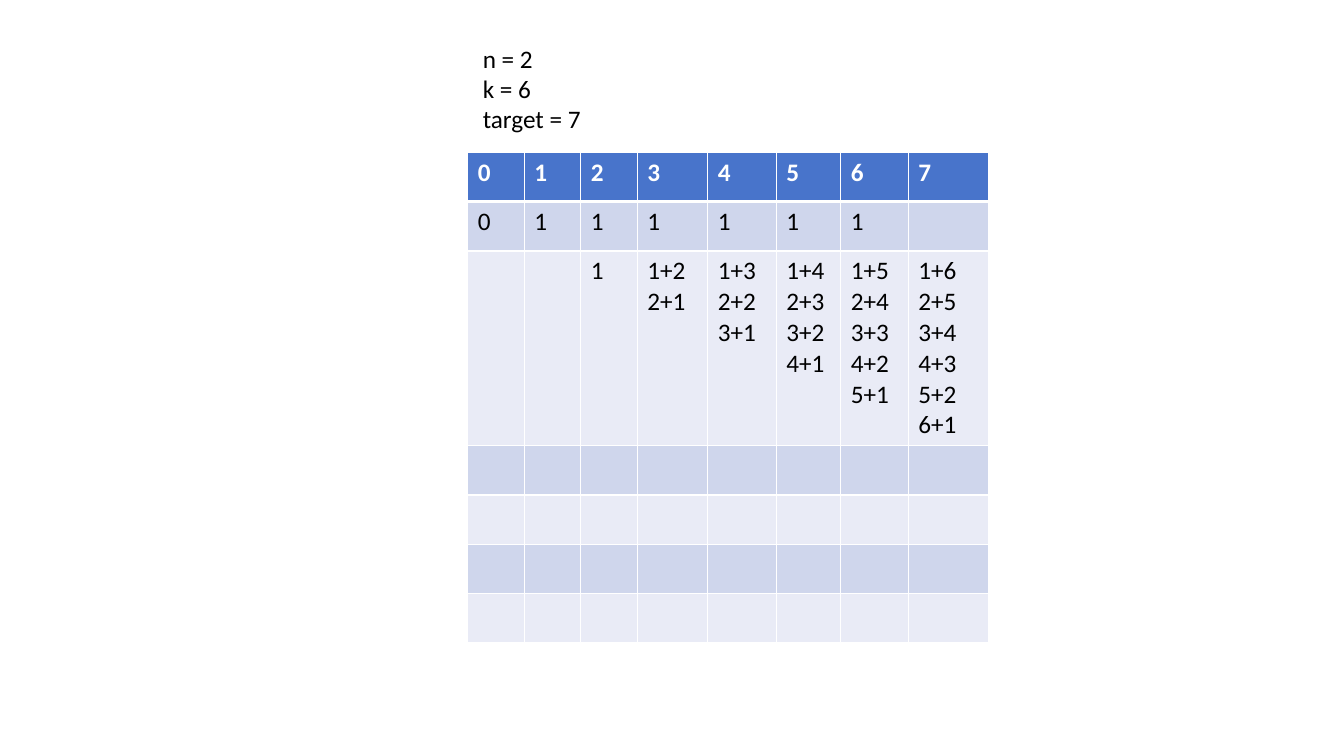
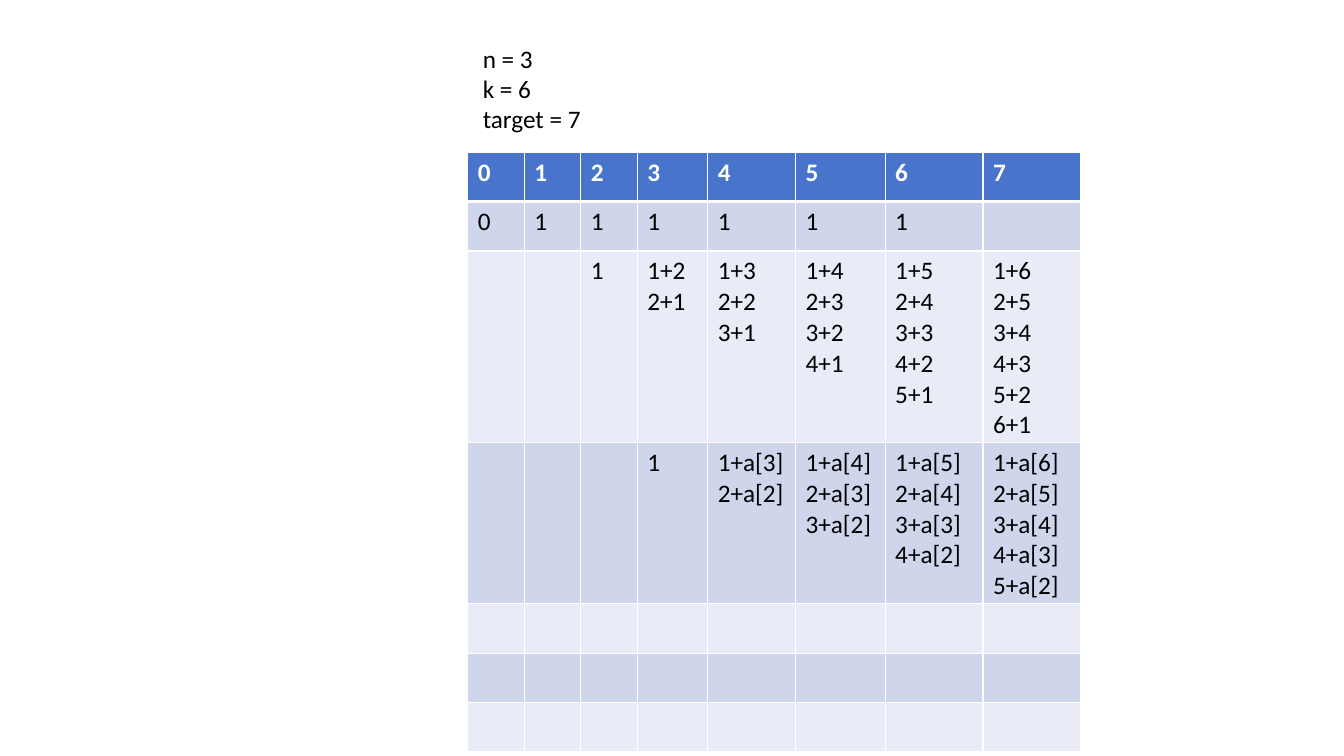
import pptx
import pptx.util
import pptx.dml.color
import pptx.oxml
import pptx.oxml.ns

EMU_PER_PX = 9144
FACES = 6
TARGET = 7
ROW_COUNT = 7
ROW_HEIGHT = 49
FONT_NAME = "Calibri"
FONT_SIZE = 18
SLIDE_SIZE = (1333, 750)
CONTENT_BOX = (464, 38)
COLORS = {
    "header": "4874CB",
    "odd_row": "CFD6EC",
    "even_row": "E9EBF6",
    "white": "FFFFFF",
    "text": "000000",
}
SLIDES = [
    {"dice": 2, "columns": [56, 56, 56, 70, 68, 64, 67, 80]},
    {"dice": 3, "columns": [56, 56, 56, 70, 87, 89, 97, 97]},
]


def px(length):
    return pptx.util.Emu(length * EMU_PER_PX)


def rgb(name):
    return pptx.dml.color.RGBColor.from_string(COLORS[name])


def write_lines(text_frame, lines, color, bold=False):
    text_frame.text = "\n".join(lines)
    for paragraph in text_frame.paragraphs:
        for run in paragraph.runs:
            run.font.name = FONT_NAME
            run.font.size = pptx.util.Pt(FONT_SIZE)
            run.font.bold = bold
            run.font.color.rgb = rgb(color)


def cell_lines(row, column, dice):
    if row == 0:
        return [str(column)]
    if row > dice:
        return []
    if row == 1:
        return [str(min(column, 1))] if column <= FACES else []
    if column < row:
        return []
    if column == row:
        return ["1"]
    remainder = "{}" if row == 2 else "a[{}]"
    return [f"{face}+" + remainder.format(column - face)
            for face in range(1, column - row + 2)]


def add_borders(cell, widths):
    properties = cell._tc.get_or_add_tcPr()
    namespace = pptx.oxml.ns.nsdecls("a")
    for side, width in widths.items():
        properties.append(pptx.oxml.parse_xml(
            f'<a:ln{side} {namespace} w="{pptx.util.Pt(width)}"><a:solidFill>'
            f'<a:srgbClr val="{COLORS["white"]}"/></a:solidFill></a:ln{side}>'))


def add_parameters(slide, left, top, dice):
    shape = slide.shapes.add_textbox(px(left), px(top), px(444), px(101))
    shape.text_frame.word_wrap = True
    write_lines(shape.text_frame,
                [f"n = {dice}", f"k = {FACES}", f"target = {TARGET}"], "text")


def add_ways_table(slide, left, top, dice, column_widths):
    shape = slide.shapes.add_table(
        ROW_COUNT, len(column_widths), px(left), px(top),
        px(sum(column_widths)), px(ROW_COUNT * ROW_HEIGHT))
    table = shape.table
    for column, width in zip(table.columns, column_widths):
        column.width = px(width)
    for row_index, row in enumerate(table.rows):
        row.height = px(ROW_HEIGHT)
        is_header = row_index == 0
        fill_name = "header" if is_header else ("even_row", "odd_row")[row_index % 2]
        widths = {"L": 1, "R": 1, "T": 3 if row_index == 1 else 1,
                  "B": 3 if is_header else 1}
        for column_index, cell in enumerate(row.cells):
            add_borders(cell, widths)
            cell.fill.solid()
            cell.fill.fore_color.rgb = rgb(fill_name)
            write_lines(cell.text_frame, cell_lines(row_index, column_index, dice),
                        "white" if is_header else "text", is_header)


def add_dice_slide(presentation, box, dice, columns):
    left, top = box
    slide = presentation.slides.add_slide(presentation.slide_layouts[6])
    add_ways_table(slide, left, top + 113, dice, columns)
    add_parameters(slide, left + 5, top, dice)


def main():
    presentation = pptx.Presentation()
    presentation.slide_width, presentation.slide_height = map(px, SLIDE_SIZE)
    for content in SLIDES:
        add_dice_slide(presentation, CONTENT_BOX, **content)
    presentation.save("out.pptx")


if __name__ == "__main__":
    main()
